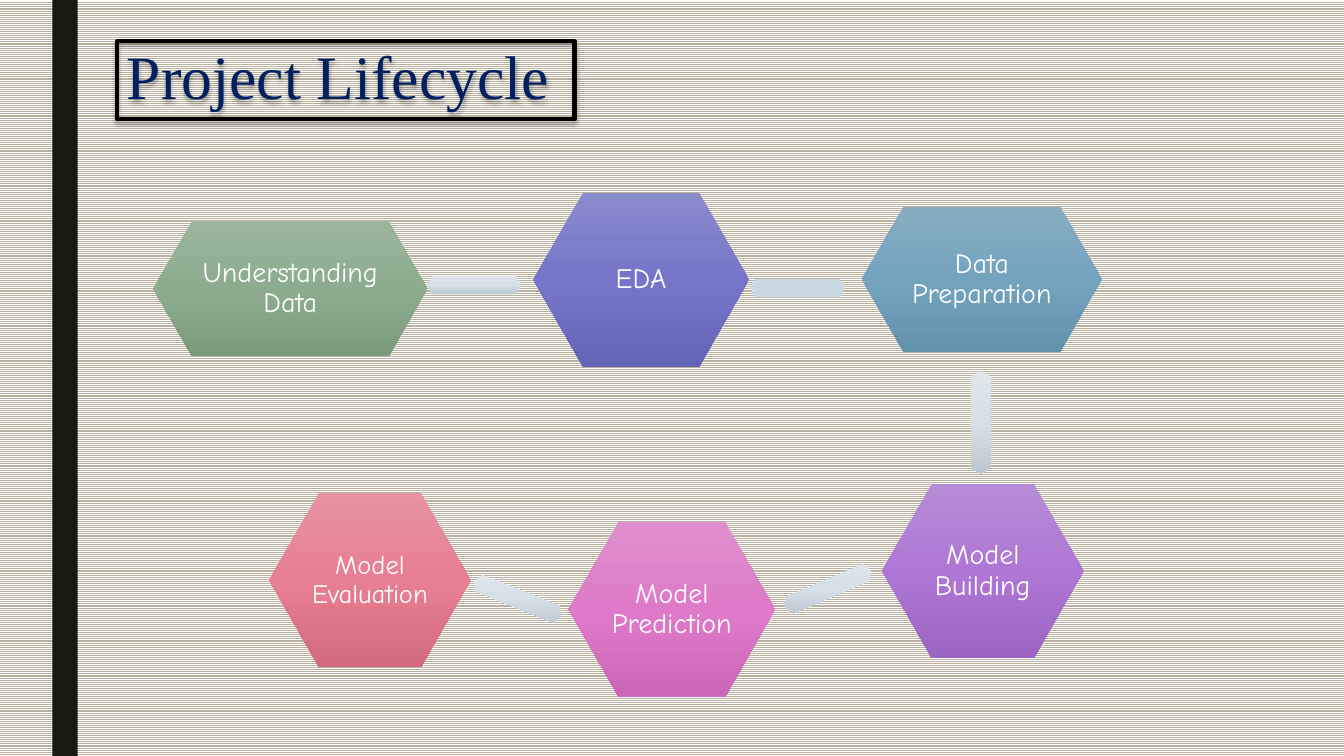
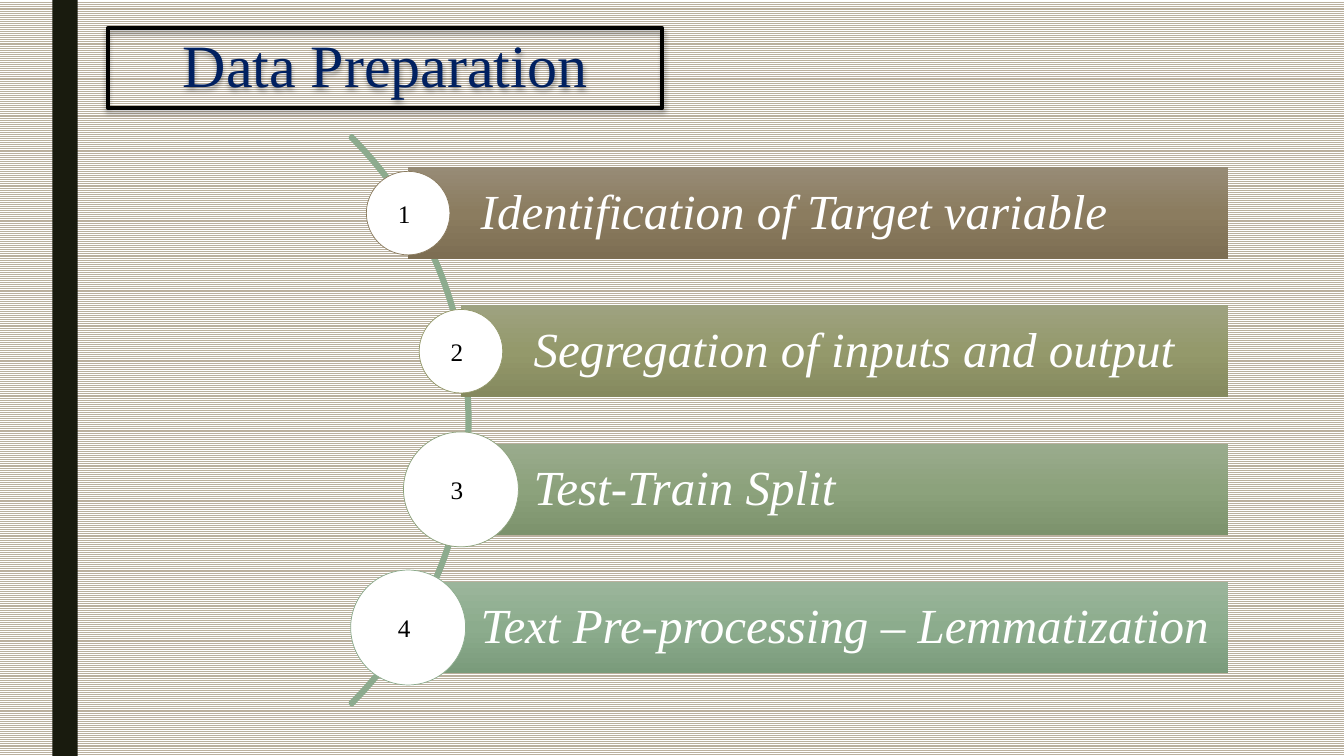
from lxml.etree import SubElement
from pptx import Presentation
from pptx.dml.color import RGBColor
from pptx.enum.dml import MSO_PATTERN as Pattern
from pptx.enum.shapes import MSO_SHAPE as Shape
from pptx.enum.text import MSO_ANCHOR as Anchor, PP_ALIGN as Align
from pptx.oxml.ns import qn
from pptx.util import Inches, Pt

# Shared colours
BLACK = RGBColor(0x00, 0x00, 0x00)
WHITE = RGBColor(0xFF, 0xFF, 0xFF)
NAVY = RGBColor(0x00, 0x20, 0x60)
RAIL = RGBColor(0x19, 0x1B, 0x0E)
STRIPE = RGBColor(0xBA, 0xB0, 0x9E)
ARC = RGBColor(0x8D, 0xAB, 0x8E)
PALE_LINK = RGBColor(0xC9, 0xDA, 0xE4)


def shades(*codes):
    """Top, middle and bottom colours of a vertical gradient."""
    return tuple(RGBColor.from_string(code) for code in codes)


SAGE = shades("9BB59B", "8CAC8D", "7A9B7B")
INDIGO = shades("8A8BCD", "7576CA", "6365B8")
STEEL = shades("88ADC3", "74A3BE", "6392AD")
VIOLET = shades("B78CD6", "AF77D5", "9C65C2")
PINK = shades("DF8FCE", "DE7AC9", "CB67B6")
CORAL = shades("E793A2", "E77E91", "D36B7D")
SILVER = shades("DEE6EC", "D5E0E8", "BCC7CF")
BROWN = shades("978B76", "8B7C5F", "7D6E53")
OLIVE = shades("9EA280", "94996B", "85895E")
MOSS = shades("9AAB8D", "8CA27C", "7C926C")

SERIF = "Times New Roman"
HAND = "Comic Neue"
WIDTH, HEIGHT = Inches(13.333), Inches(7.5)
ASPECT = WIDTH / HEIGHT


class Deck:
    """Holds the style and the current slide; lengths are percent of the slide."""

    def __init__(self):
        self.show = Presentation()
        self.show.slide_width, self.show.slide_height = WIDTH, HEIGHT
        self.slide = None

    def start(self, heading, box, size, align=Align.LEFT):
        """New slide with striped background, side rail and framed title."""
        self.slide = self.show.slides.add_slide(self.show.slide_layouts[6])
        stripes = self.slide.background.fill
        stripes.patterned()
        stripes.pattern = Pattern.NARROW_HORIZONTAL
        stripes.fore_color.rgb, stripes.back_color.rgb = STRIPE, WHITE
        self.shape(Shape.RECTANGLE, (3.9, 0, 1.88, 100), RAIL)
        title = self.shape(Shape.RECTANGLE, box, None, BLACK, 3)
        self.label(title, heading, size, SERIF, NAVY, align, spacing=0.89)
        self.cast_shadow(title)

    def shape(self, kind, box, fill=None, line=None, weight=1):
        x, y, w, h = box
        item = self.slide.shapes.add_shape(
            kind, round(WIDTH * x / 100), round(HEIGHT * y / 100),
            round(WIDTH * w / 100), round(HEIGHT * h / 100))
        item.shadow.inherit = False
        if fill is None:
            item.fill.background()
        elif isinstance(fill, RGBColor):
            item.fill.solid()
            item.fill.fore_color.rgb = fill
        else:
            self.shade(item, fill)
        if line is None:
            item.line.fill.background()
        else:
            item.line.color.rgb = line
            item.line.width = Pt(weight)
        return item

    def shade(self, item, colours):
        """Three-stop gradient that stays upright when the shape turns."""
        item.fill.gradient()
        gradient = item.element.spPr.find(qn("a:gradFill"))
        gradient.clear()
        gradient.set("rotWithShape", "0")
        stops = SubElement(gradient, qn("a:gsLst"))
        for place, colour in zip((0, 50000, 100000), colours):
            stop = SubElement(stops, qn("a:gs"), pos=str(place))
            SubElement(stop, qn("a:srgbClr"), val=str(colour))
        SubElement(gradient, qn("a:lin"), ang="5400000", scaled="0")

    def cast_shadow(self, item):
        effects = item.element.spPr.find(qn("a:effectLst"))
        shadow = SubElement(effects, qn("a:outerShdw"), blurRad=str(Pt(3.5)),
                            dist=str(Pt(2.2)), dir="5400000", rotWithShape="0")
        colour = SubElement(shadow, qn("a:srgbClr"), val=str(BLACK))
        SubElement(colour, qn("a:alpha"), val="32000")

    def label(self, item, text, size, font, colour, align=Align.CENTER,
              insets=(0.1, 0.05, 0.1, 0.05), spacing=0.9, italic=False):
        frame = item.text_frame
        frame.word_wrap = True
        frame.vertical_anchor = Anchor.MIDDLE
        (frame.margin_left, frame.margin_top,
         frame.margin_right, frame.margin_bottom) = map(Inches, insets)
        paragraph = frame.paragraphs[0]
        paragraph.text = text
        paragraph.alignment = align
        paragraph.line_spacing = spacing
        style = paragraph.font
        style.size, style.name, style.italic = Pt(size), font, italic
        style.color.rgb = colour

    def hexagon(self, box, fill, corner, turn=0):
        item = self.shape(Shape.HEXAGON, box, fill)
        item.adjustments[0] = corner
        item.rotation = turn
        return item

    def step(self, text, box, fill, size=20):
        self.label(self.hexagon(box, fill, 0.286), text, size, HAND, WHITE,
                   insets=(0.03,) * 4)

    def link(self, box, turn=0, fill=SILVER):
        self.hexagon(box, fill, 0.289, turn)

    def arc(self, box):
        curve = self.shape(Shape.BLOCK_ARC, box, None, ARC, 2.75)
        for index, value in enumerate((189, 27, 0.003)):
            curve.adjustments[index] = value

    def bar(self, number, text, left, top, diameter, fill, rim):
        """Gradient bar with a numbered disc centred on its left edge."""
        right, height = 91.4, 12.13
        strip = self.shape(Shape.RECTANGLE, (left, top, right - left, height), fill)
        self.label(strip, text, 35, SERIF, WHITE, Align.LEFT,
                   (0.72, 0.1, 0.1, 0.1), italic=True)
        tall = diameter * ASPECT
        disc = self.shape(Shape.OVAL, (left - diameter / 2, top + (height - tall) / 2,
                                       diameter, tall), WHITE, rim, 0.5)
        self.label(disc, str(number), 18, SERIF, BLACK,
                   insets=(0, 0, 0.08, 0), spacing=1)


def lifecycle(deck):
    deck.start("Project Lifecycle", (8.7, 5.47, 34.05, 10.27), 44)
    # Links between the steps
    for box, turn in (
        ((31.8, 36.53, 6.98, 2.4), 0),
        ((69.15, 54.53, 7.65, 2.67), 90),
        ((58.13, 76.67, 6.98, 2.4), 336.9),
        ((35.03, 78, 6.98, 2.4), 21.9),
    ):
        deck.link(box, turn)
    deck.link((55.8, 36.93, 7.05, 2.4), fill=PALE_LINK)
    # Steps in order
    deck.step("Understanding Data", (11.4, 29.33, 20.4, 17.73), SAGE)
    deck.step("EDA", (39.68, 25.47, 16.05, 23.07), INDIGO)
    deck.step("Data Preparation", (64.13, 27.33, 17.85, 19.2), STEEL)
    deck.step("Model Building", (65.63, 64, 15, 23.07), VIOLET)
    deck.step("Model Prediction", (42.3, 69.07, 15.38, 23.07), PINK)
    deck.step("Model Evaluation", (20.03, 65.2, 15, 23.07), CORAL, 19)


def preparation(deck):
    deck.start("Data Preparation", (8.03, 3.73, 41.25, 10.53), 42.9, Align.CENTER)
    deck.arc((-24.9, 2.4, 59.85, 106.4))
    # Bars at equal steps along the arc
    outer, inner = 30.37, 34.3
    small, large = 6.22, 8.55
    tasks = (
        ("Identification of Target variable", outer, small, BROWN),
        ("Segregation of inputs and output", inner, small, OLIVE),
        ("Test-Train Split", inner, large, MOSS),
        ("Text Pre-processing – Lemmatization", outer, large, SAGE),
    )
    for index, (task, left, diameter, fill) in enumerate(tasks):
        deck.bar(index + 1, task, left, 22.13 + 18.27 * index, diameter, fill, fill[1])


def main():
    deck = Deck()
    lifecycle(deck)
    preparation(deck)
    deck.show.save("out.pptx")


if __name__ == "__main__":
    main()
